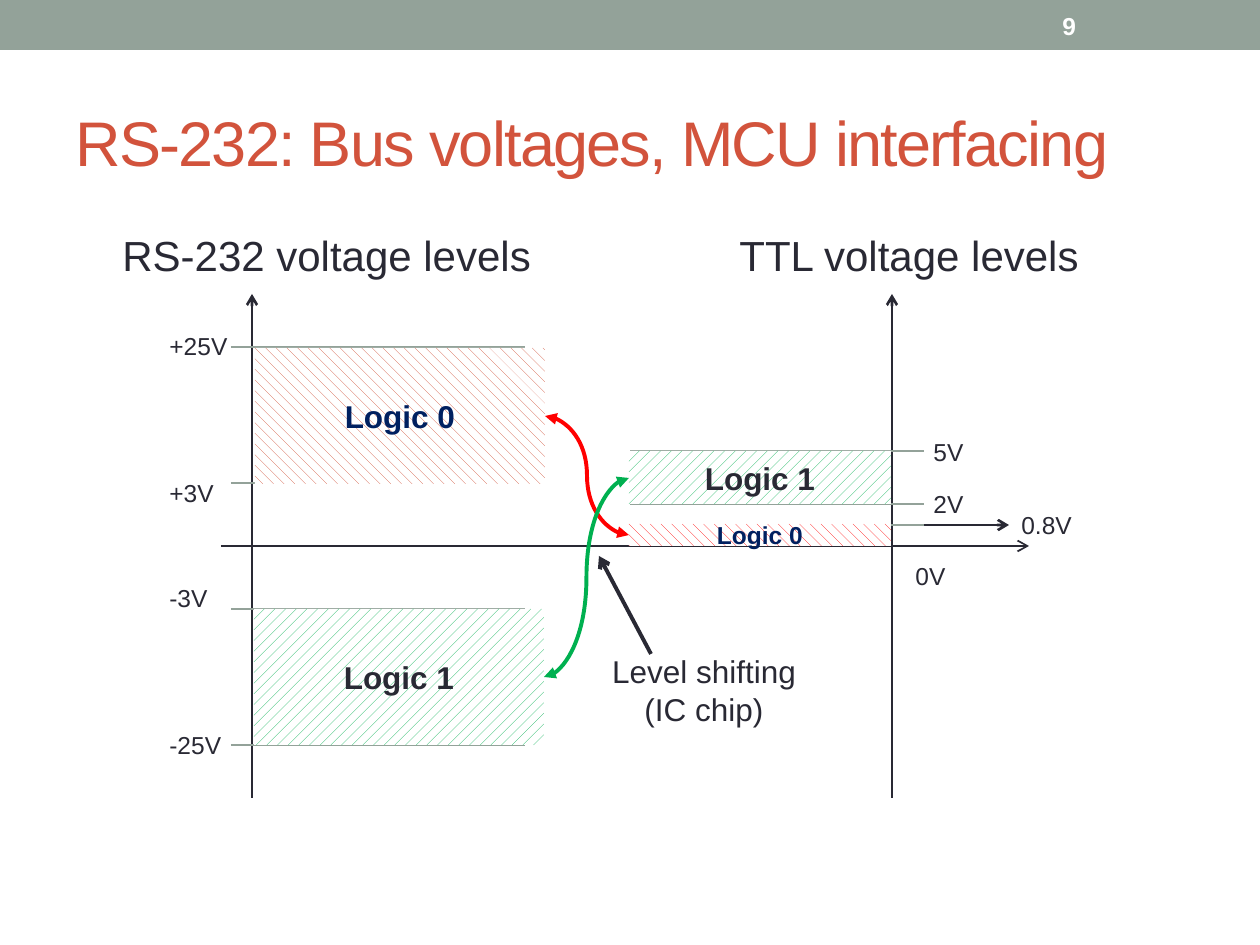
from pptx import Presentation
from pptx.dml.color import RGBColor
from pptx.enum.dml import MSO_PATTERN
from pptx.enum.shapes import MSO_CONNECTOR, MSO_SHAPE
from pptx.enum.text import MSO_ANCHOR, PP_ALIGN
from pptx.oxml.ns import qn
from pptx.util import Emu, Pt
from lxml import etree

STRAIGHT, CURVE = MSO_CONNECTOR.STRAIGHT, MSO_CONNECTOR.CURVE
DOWN = MSO_PATTERN.DASHED_DOWNWARD_DIAGONAL
UP = MSO_PATTERN.DASHED_UPWARD_DIAGONAL
LEFT, CENTER = PP_ALIGN.LEFT, PP_ALIGN.CENTER
TOP, MIDDLE = MSO_ANCHOR.TOP, MSO_ANCHOR.MIDDLE
DARK, SAGE, RUST, NAVY = "292934", "93A299", "D2533C", "002060"
RED, GREEN, WHITE = "FF0000", "00B050", "FFFFFF"
PX_PER_INCH = 126


def px(value):
    """Turn pixels into EMU."""
    return Emu(round(value * 914400 / PX_PER_INCH))


def rgb(value):
    """Turn a hex string into a colour."""
    return RGBColor.from_string(value)


def write(shape, text, size, color, bold=False, align=LEFT, anchor=TOP, wrap=True, spacing=0):
    """Fill a shape with evenly formatted text."""
    frame = shape.text_frame
    frame.text = text
    frame.word_wrap = wrap
    frame.vertical_anchor = anchor
    for para in frame.paragraphs:
        para.alignment = align
        for span in para.runs:
            font = span.font
            font.name, font.size, font.bold = "Arial", Pt(size), bold
            font.color.rgb = rgb(color)
            if spacing:
                font._element.set("spc", str(spacing))


def add_text(page, at, text, size, color, **style):
    """Add a text box."""
    box = page.shapes.add_textbox(*map(px, at))
    write(box, text, size, color, **style)


def add_block(page, at, color, pattern=None):
    """Add a rectangle with a solid or hatched fill and no outline."""
    block = page.shapes.add_shape(MSO_SHAPE.RECTANGLE, *map(px, at))
    block.shadow.inherit = False
    block.line.fill.background()
    if pattern is None:
        block.fill.solid()
        block.fill.fore_color.rgb = rgb(color)
    else:
        block.fill.patterned()
        block.fill.pattern = pattern
        block.fill.fore_color.rgb = rgb(color)
        block.fill.back_color.rgb = rgb(WHITE)
    return block


def add_line(page, ends, color, width, head=None, tail=None, kind=STRAIGHT):
    """Add a connector with optional arrowheads."""
    line = page.shapes.add_connector(kind, *map(px, ends))
    line.line.color.rgb = rgb(color)
    line.line.width = Pt(width)
    outline = line.line._get_or_add_ln()
    for tag, arrow in (("a:headEnd", head), ("a:tailEnd", tail)):
        if arrow:
            etree.SubElement(outline, qn(tag), type=arrow)
    etree.SubElement(line._element.spPr, qn("a:effectLst"))


def add_header(page):
    """Add the top band, page number, title and chart headings."""
    add_block(page, (0, 0, 1260, 50), SAGE)
    add_text(page, (63, 73, 1134, 136), "RS-232: Bus voltages, MCU interfacing",
             36, RUST, anchor=MIDDLE, spacing=-100)
    add_text(page, (1050, 3, 147, 45), "9", 14, WHITE, bold=True, anchor=MIDDLE)
    for left, text in ((110, "RS-232 voltage levels"), (727, "TTL voltage levels")):
        add_text(page, (left, 223, 450, 62), text, 24, DARK)


def add_axes(page):
    """Add the axes, level lines and voltage labels."""
    for x in (252, 892):
        add_line(page, (x, 798, x, 294), DARK, 1.5, tail="arrow")
    add_line(page, (221, 546, 1029, 546), DARK, 1, tail="arrow")
    for left, levels in ((231, (347, 483, 609, 745)), (630, (525, 504, 451))):
        for y in levels:
            add_line(page, (left, y, left + 294, y), SAGE, 0.75)
    labels = (
        ("+25V", 157, 325, 83), ("+3V", 157, 472, 70), ("-3V", 157, 577, 64),
        ("-25V", 157, 724, 78), ("0V", 903, 555, 55), ("0.8V", 1009, 504, 77),
        ("2V", 921, 483, 55), ("5V", 921, 431, 55),
    )
    for text, left, top, width in labels:
        add_text(page, (left, top, width, 43), text, 14, DARK, wrap=False)


def add_bands(page):
    """Add the hatched logic level bands."""
    bands = (
        ((255, 348, 290, 136), "Logic 0", 18, NAVY, RUST, DOWN),
        ((254, 609, 290, 136), "Logic 1", 18, DARK, GREEN, UP),
        ((629, 524, 262, 22), "Logic 0", 14, NAVY, RED, DOWN),
        ((629, 451, 262, 53), "Logic 1", 18, DARK, GREEN, UP),
    )
    for at, text, size, color, hatch, pattern in bands:
        block = add_block(page, at, hatch, pattern)
        write(block, text, size, color, bold=True, align=CENTER, anchor=MIDDLE)


def add_shifting(page):
    """Add the level shifting arrows and their caption."""
    add_line(page, (924, 525, 1009, 525), DARK, 1.5, tail="arrow")
    for ends, color in (((545, 416, 629, 535), RED), ((629, 478, 544, 677), GREEN)):
        add_line(page, ends, color, 2.25, "triangle", "triangle", CURVE)
    caption = add_block(page, (599, 646, 210, 89), WHITE)
    write(caption, "Level shifting\n(IC chip)", 18, DARK, align=CENTER, wrap=False)
    add_line(page, (651, 654, 599, 556), DARK, 2.25, tail="arrow")


def main():
    """Build and save the slide."""
    deck = Presentation()
    deck.slide_width, deck.slide_height = px(1260), px(945)
    page = deck.slides.add_slide(deck.slide_layouts[6])
    add_header(page)
    add_axes(page)
    add_bands(page)
    add_shifting(page)
    deck.save("out.pptx")


if __name__ == "__main__":
    main()
